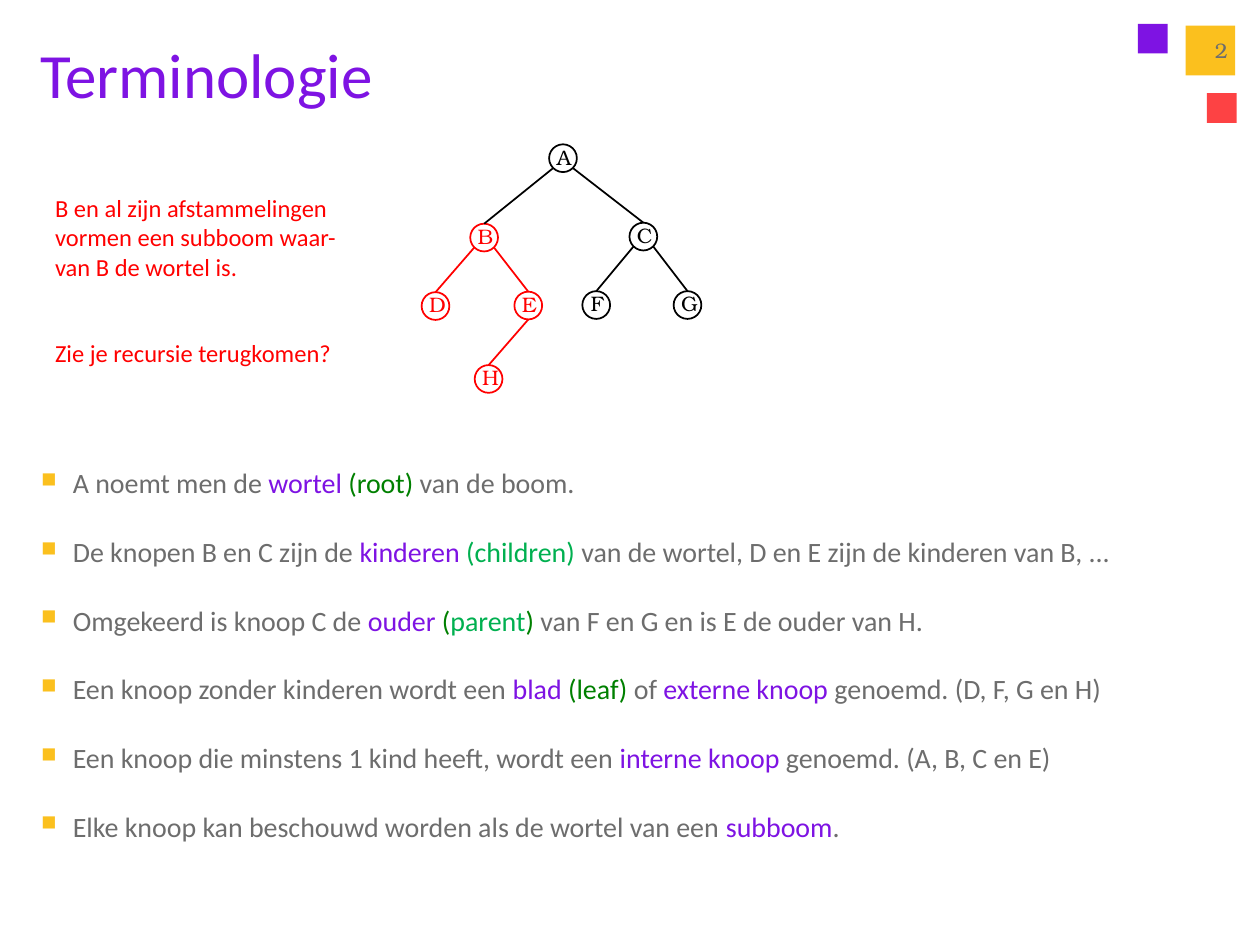
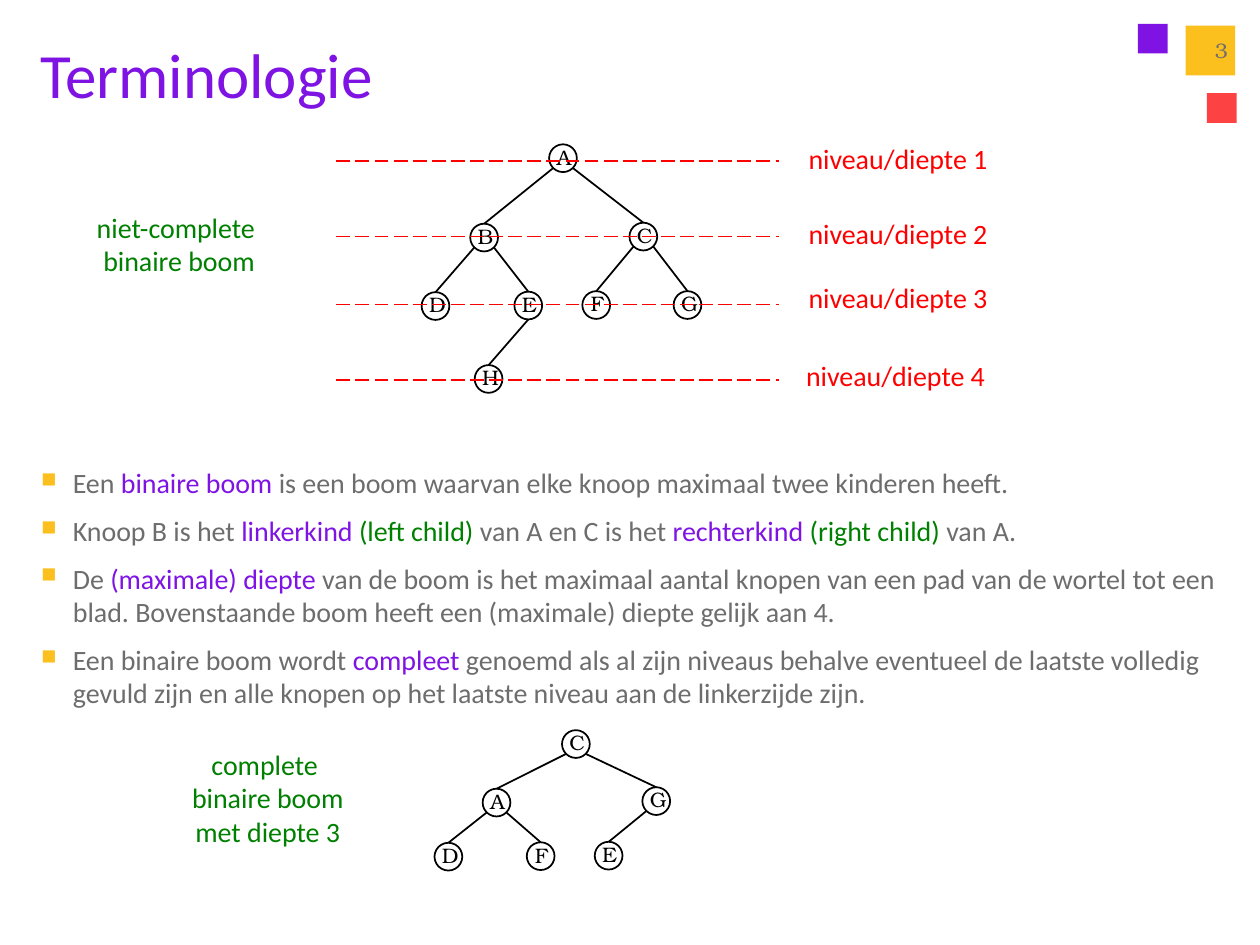
import pptx
import pptx.util
import pptx.dml.color
import pptx.enum.dml
import pptx.enum.shapes
import pptx.enum.text
import pptx.oxml.ns
import lxml.etree

Cm, Pt = pptx.util.Cm, pptx.util.Pt
SHAPE = pptx.enum.shapes.MSO_SHAPE
ALIGN = pptx.enum.text.PP_ALIGN
ANCHOR = pptx.enum.text.MSO_ANCHOR

COLORS = {"purple": "7E13E3", "coral": "FD4244", "yellow": "FBC01E", "grey": "6D6D6D",
          "black": "000000", "red": "FF0000", "green": "008000", "leaf": "00B050"}
SANS, SERIF = "Calibri", "TeX Gyre Bonum"

# ---- Shared by both slides (all lengths in cm) ----
TITLE = "Terminologie"
SQUARES = [("purple", 22.94, 0.48, 0.6), ("coral", 24.33, 1.88, 0.6), ("yellow", 23.9, 0.52, 1.0)]
NODE_SIZE = 0.56

# ---- Trees: letter -> centre; edges as parent + child ----
TREE = {"A": (11.35, 3.19), "B": (9.76, 4.79), "C": (12.97, 4.77), "D": (8.78, 6.17),
        "E": (10.65, 6.16), "F": (12.02, 6.15), "G": (13.86, 6.15), "H": (9.85, 7.64)}
TREE_EDGES = ["AB", "AC", "BD", "BE", "CF", "CG", "EH"]
COMPLETE = {"C": (11.61, 15.0), "A": (10.01, 16.18), "G": (13.23, 16.15),
            "D": (9.04, 17.27), "F": (10.9, 17.26), "E": (12.27, 17.25)}
COMPLETE_EDGES = ["CA", "CG", "AD", "AF", "GE"]
SUBTREE = "BDEH"

# ---- Captions: left, top, width, height, size, colour, alignment, lines ----
CAPTIONS_1 = [
    (0.86, 3.76, 6.93, 2.06, 14, "red", ALIGN.LEFT,
     ["B en al zijn afstammelingen", "vormen een subboom waar-", "van B de wortel is."]),
    (0.86, 6.68, 6.65, 0.86, 14, "red", ALIGN.LEFT, ["Zie je recursie terugkomen?"]),
]
CAPTIONS_2 = [
    (1.5, 4.11, 4.22, 1.63, 16, "green", ALIGN.CENTER, ["niet-complete ", "binaire boom"]),
    (3.38, 14.94, 4.04, 2.31, 16, "green", ALIGN.CENTER,
     ["complete ", "binaire boom", "met diepte 3"]),
]

# ---- Depth levels: line height, label left, label top ----
LEVELS = [(3.25, 16.05, 2.72), (4.77, 16.05, 4.24), (6.14, 16.05, 5.54), (7.66, 16.0, 7.11)]
LEVEL_LEFT, LEVEL_RIGHT = 6.78, 15.7

# ---- Bullets: runs of (text, colour) ----
BULLETS_1 = [
    [("A noemt men de ", "grey"), ("wortel ", "purple"), ("(root) ", "green"),
     ("van de boom.", "grey")],
    [("De knopen B en C zijn de ", "grey"), ("kinderen ", "purple"), ("(children) ", "leaf"),
     ("van de wortel, D en E zijn de kinderen van B, ...", "grey")],
    [("Omgekeerd is knoop C de ", "grey"), ("ouder ", "purple"), ("(", "green"),
     ("parent", "leaf"), (") ", "green"), ("van F en G en is E de ouder van H.", "grey")],
    [("Een knoop zonder kinderen wordt een ", "grey"), ("blad ", "purple"),
     ("(leaf) ", "green"), ("of ", "grey"), ("externe knoop ", "purple"),
     ("genoemd. (D, F, G en H)", "grey")],
    [("Een knoop die minstens 1 kind heeft, wordt een ", "grey"),
     ("interne knoop ", "purple"), ("genoemd. (A, B, C en E)", "grey")],
    [("Elke knoop kan beschouwd worden als de wortel van een ", "grey"),
     ("subboom", "purple"), (".", "grey")],
]
BULLETS_2 = [
    [("Een ", "grey"), ("binaire boom ", "purple"),
     ("is een boom waarvan elke knoop maximaal twee kinderen heeft. ", "grey")],
    [("Knoop B is het ", "grey"), ("linkerkind ", "purple"), ("(left child) ", "green"),
     ("van A en C is het ", "grey"), ("rechterkind ", "purple"),
     ("(right child) ", "green"), ("van A.", "grey")],
    [("De ", "grey"), ("(maximale) diepte ", "purple"),
     ("van de boom is het maximaal aantal knopen van een pad van de wortel tot een blad. "
      "Bovenstaande boom heeft een (maximale) diepte gelijk aan 4.", "grey")],
    [("Een binaire boom wordt ", "grey"), ("compleet", "purple"),
     (" genoemd als al zijn niveaus behalve eventueel de laatste volledig gevuld zijn "
      "en alle knopen op het laatste niveau aan de linkerzijde zijn.", "grey")],
]


# ---- Helpers ----
def rgb(name):
    return pptx.dml.color.RGBColor.from_string(COLORS[name])


def add_text(s, box, paragraphs, size, font=SANS, align=ALIGN.LEFT, anchor=ANCHOR.TOP, wrap=False):
    """Text box from paragraphs, each a list of (text, colour) runs."""
    tf = s.shapes.add_textbox(*map(Cm, box)).text_frame
    tf.word_wrap = wrap
    tf.vertical_anchor = anchor
    for i, runs in enumerate(paragraphs):
        p = tf.paragraphs[0] if i == 0 else tf.add_paragraph()
        p.alignment = align
        for text, color in runs:
            r = p.add_run()
            r.text = text
            r.font.size, r.font.name = Pt(size), font
            r.font.color.rgb = rgb(color)
    return tf


def add_line(s, start, end, color, dash=None):
    line = s.shapes.add_connector(pptx.enum.shapes.MSO_CONNECTOR.STRAIGHT,
                                  *map(Cm, (*start, *end)))
    line.line.color.rgb = rgb(color)
    line.line.width = Pt(1)
    if dash:
        line.line.dash_style = dash
    props = line._element.spPr
    lxml.etree.SubElement(props, pptx.oxml.ns.qn("a:effectLst"))


def add_tree(s, nodes, edges, marked=""):
    """Nodes in circles; an edge runs from the parent's lower side to the child's top."""
    radius = NODE_SIZE / 2
    diagonal = radius * 0.7

    def color_of(name):
        return "red" if name in marked else "black"

    for name, (x, y) in nodes.items():
        add_text(s, (x - 0.38, y - 0.41, 0.8, 0.76), [[(name, color_of(name))]], 12,
                 SERIF, ALIGN.CENTER)
        circle = s.shapes.add_shape(SHAPE.OVAL, *map(Cm, (x - radius, y - radius,
                                                          NODE_SIZE, NODE_SIZE)))
        circle.shadow.inherit = False
        circle.fill.background()
        circle.line.color.rgb = rgb(color_of(name))
        circle.line.width = Pt(1)
    for parent, child in edges:
        (px, py), (cx, cy) = nodes[parent], nodes[child]
        if child == "H":
            start = (px, py + radius)
        else:
            start = (px + (diagonal if cx > px else -diagonal), py + diagonal)
        add_line(s, start, (cx, cy - radius), color_of(parent))


def add_bullets(s, bullets, gap):
    tf = add_text(s, (0.58, 9.27, 24.82, 8.26), bullets, 16, wrap=True)
    for p in tf.paragraphs:
        p.space_before = Pt(gap)
        props = p._p.get_or_add_pPr()
        props.set("marL", str(Cm(0.64)))
        props.set("indent", str(-Cm(0.64)))
        color = lxml.etree.SubElement(props, pptx.oxml.ns.qn("a:buClr"))
        lxml.etree.SubElement(color, pptx.oxml.ns.qn("a:srgbClr"), val=COLORS["yellow"])
        lxml.etree.SubElement(props, pptx.oxml.ns.qn("a:buSzPct"), val="75000")
        lxml.etree.SubElement(props, pptx.oxml.ns.qn("a:buChar"), char="■")


def add_captions(s, captions):
    for *box, size, color, align, lines in captions:
        add_text(s, box, [[(line, color)] for line in lines], size, align=align)


def new_slide(prs, number):
    """Slide with the corner squares, the title and the page number."""
    s = prs.slides.add_slide(prs.slide_layouts[6])
    for color, x, y, size in SQUARES:
        square = s.shapes.add_shape(SHAPE.RECTANGLE, *map(Cm, (x, y, size, size)))
        square.shadow.inherit = False
        square.fill.solid()
        square.fill.fore_color.rgb = rgb(color)
        square.line.fill.background()
    tf = add_text(s, (0.56, 0.51, 20.98, 2.13), [[(TITLE, "purple")]], 36,
                  anchor=ANCHOR.MIDDLE, wrap=True)
    tf.paragraphs[0].line_spacing = 0.9
    add_text(s, (23.7, 0.51, 1.3, 1.02), [[(str(number), "grey")]], 12, SERIF,
             ALIGN.RIGHT, ANCHOR.MIDDLE, wrap=True)
    return s


prs = pptx.Presentation()
prs.slide_width, prs.slide_height = Cm(25.4), Cm(19.05)

# ---- Slide 2: nodes, parents and subtrees ----
s = new_slide(prs, 2)
add_tree(s, TREE, TREE_EDGES, SUBTREE)
add_captions(s, CAPTIONS_1)
add_bullets(s, BULLETS_1, 20)

# ---- Slide 3: binary trees and depth ----
s = new_slide(prs, 3)
add_tree(s, TREE, TREE_EDGES)
for depth, (y, label_left, label_top) in enumerate(LEVELS, start=1):
    add_line(s, (LEVEL_LEFT, y), (LEVEL_RIGHT, y), "red", pptx.enum.dml.MSO_LINE.LONG_DASH)
    add_text(s, (label_left, label_top, 4.65, 0.94), [[(f"niveau/diepte {depth}", "red")]], 16)
add_bullets(s, BULLETS_2, 8)
add_tree(s, COMPLETE, COMPLETE_EDGES)
add_captions(s, CAPTIONS_2)

prs.save("out.pptx")
